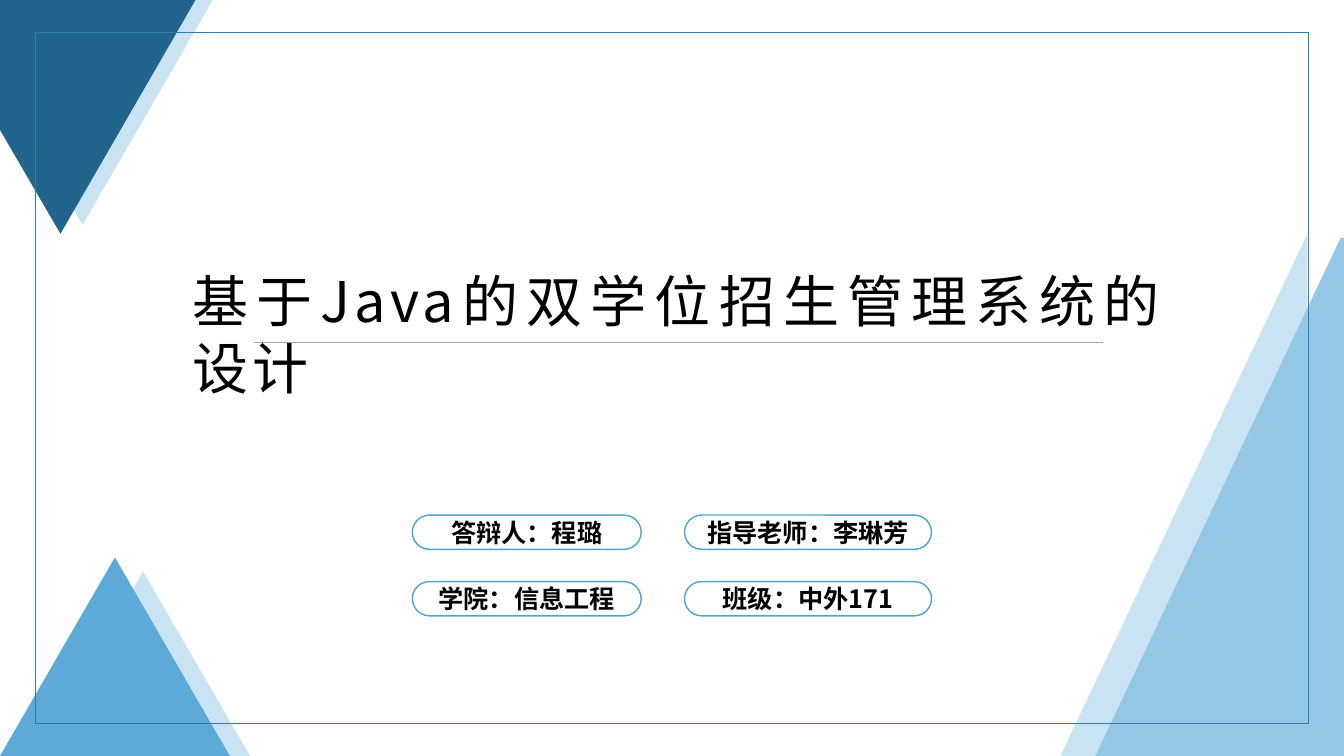
import pptx
import pptx.dml.color
import pptx.enum.shapes
import pptx.enum.text
import pptx.oxml.ns
import pptx.util
from lxml import etree

WIDTH = pptx.util.Inches(13.333)
HEIGHT = pptx.util.Inches(7.5)
FONT = "Noto Sans CJK SC"
PALE = "C9E3F2"

# Corner points as percentages of the slide's width and height
TRIANGLES = [
    (PALE, [(0.3, 0), (15.83, 0), (6.15, 29.73), (0.3, 12)]),
    ("22658C", [(0, 0), (14.55, 0), (4.5, 30.93), (0, 17.2)]),
    (PALE, [(10.65, 75.6), (18.6, 100), (2.7, 100)]),
    ("5DAAD8", [(8.55, 73.73), (17.1, 100), (0, 100)]),
    (PALE, [(97.28, 30.93), (97.28, 100), (78.9, 100)]),
    ("93C7E5", [(99.75, 31.47), (100, 31.47), (100, 100), (81.5, 100)]),
]
PILL_COLUMNS = [(30.68, 17.03), (50.93, 18.38)]
PILL_ROWS = [68.13, 76.93]
PILL_HEIGHT = 4.53
DETAILS = [
    ["答辩人：程璐", "指导老师：李琳芳"],
    ["学院：信息工程", "班级：中外171"],
]


def across(percent):
    return round(WIDTH * percent / 100)


def down(percent):
    return round(HEIGHT * percent / 100)


def box(left, top, width, height):
    return across(left), down(top), across(width), down(height)


def rgb(color):
    return pptx.dml.color.RGBColor.from_string(color)


def add_polygon(slide, color, corners):
    points = [(across(x), down(y)) for x, y in corners]
    builder = slide.shapes.build_freeform(*points[0])
    builder.add_line_segments(points[1:], close=True)
    polygon = builder.convert_to_shape()
    polygon.shadow.inherit = False
    polygon.fill.solid()
    polygon.fill.fore_color.rgb = rgb(color)
    polygon.line.fill.background()


def add_outline(slide, preset, area, color):
    outline = slide.shapes.add_shape(preset, *box(*area))
    outline.shadow.inherit = False
    outline.fill.background()
    outline.line.color.rgb = rgb(color)
    outline.line.width = pptx.util.Pt(1)
    return outline


def add_text(frame, words, size, align, bold=False, spacing=0):
    """Write one black run; spacing is the letter spacing in points."""
    paragraph = frame.paragraphs[0]
    paragraph.alignment = align
    run = paragraph.add_run()
    run.text = words
    run.font.size = pptx.util.Pt(size)
    run.font.bold = bold
    run.font.color.rgb = rgb("000000")
    run.font.name = FONT
    properties = run.font._element
    etree.SubElement(properties, pptx.oxml.ns.qn("a:ea"), typeface=FONT)
    if spacing:
        properties.set("spc", str(spacing * 100))


def add_pill(slide, area, words):
    pill = add_outline(slide, pptx.enum.shapes.MSO_SHAPE.ROUNDED_RECTANGLE,
                       area, "4DA3D3")
    pill.adjustments[0] = 0.5
    pill.text_frame.vertical_anchor = pptx.enum.text.MSO_ANCHOR.MIDDLE
    add_text(pill.text_frame, words, 18, pptx.enum.text.PP_ALIGN.CENTER, bold=True)


def add_title(slide, words):
    title = slide.shapes.add_textbox(*box(13.58, 34.53, 73.8, 10)).text_frame
    title.word_wrap = True
    title.auto_size = pptx.enum.text.MSO_AUTO_SIZE.SHAPE_TO_FIT_TEXT
    add_text(title, words, 40, pptx.enum.text.PP_ALIGN.JUSTIFY, spacing=3)


def add_rule(slide, left, right, top):
    rule = slide.shapes.add_connector(pptx.enum.shapes.MSO_CONNECTOR.STRAIGHT,
                                      across(left), down(top), across(right), down(top))
    rule.line.color.rgb = rgb("A5A5A5")
    rule.line.width = pptx.util.Pt(0.5)
    etree.SubElement(rule._element.spPr, pptx.oxml.ns.qn("a:effectLst"))


def main():
    deck = pptx.Presentation()
    deck.slide_width, deck.slide_height = WIDTH, HEIGHT
    slide = deck.slides.add_slide(deck.slide_layouts[6])

    for color, corners in TRIANGLES:
        add_polygon(slide, color, corners)
    add_outline(slide, pptx.enum.shapes.MSO_SHAPE.RECTANGLE,
                (2.63, 4.27, 94.73, 91.47), "2B7EAD")

    add_title(slide, "基于Java的双学位招生管理系统的设计")
    add_rule(slide, 18.9, 82.05, 45.33)
    for top, row in zip(PILL_ROWS, DETAILS):
        for (left, width), words in zip(PILL_COLUMNS, row):
            add_pill(slide, (left, top, width, PILL_HEIGHT), words)

    deck.save("out.pptx")


if __name__ == "__main__":
    main()
